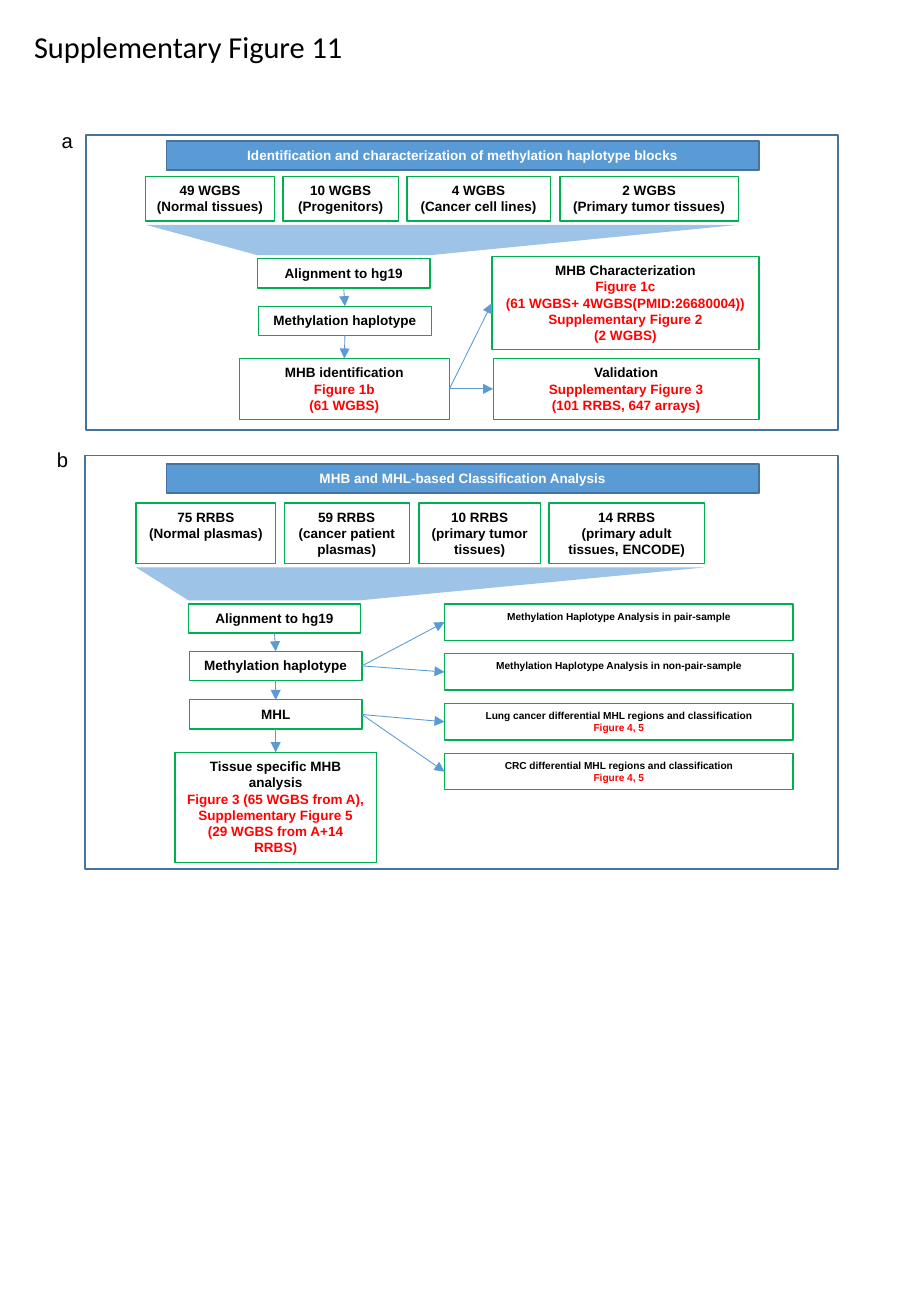
"""Build the methylation haplotype workflow slide with two panels."""
from lxml import etree
from pptx import Presentation
from pptx.dml.color import RGBColor
from pptx.enum.shapes import MSO_CONNECTOR, MSO_SHAPE
from pptx.enum.text import MSO_ANCHOR, MSO_AUTO_SIZE, PP_ALIGN
from pptx.oxml.ns import qn
from pptx.util import Pt

RECTANGLE, STRAIGHT = MSO_SHAPE.RECTANGLE, MSO_CONNECTOR.STRAIGHT
TOP_ANCHOR, NO_AUTOSIZE = MSO_ANCHOR.TOP, MSO_AUTO_SIZE.NONE
LEFT_ALIGNED, CENTERED = PP_ALIGN.LEFT, PP_ALIGN.CENTER
TOP, LEFT, BOTTOM, RIGHT = range(4)
PX = 9144
BLACK, RED, WHITE = "000000", "FF0000", "FFFFFF"
BLUE, NAVY, PALE_BLUE, GREEN = "5B9BD5", "43739E", "9DC3E6", "00B050"
SOURCE_MARGIN, FUNNEL_GAP = 7, 3
TITLE = "Supplementary Figure 11"

PANELS = [
    {
        "letter": ("a", 41, 101),
        "frame": (71, 111, 619, 243),
        "heading": "Identification and characterization of methylation haplotype blocks",
        "heading_top": 116,
        "source_row": (145, 37),
        "sources": [
            (120, 106, ["49 WGBS", "(Normal tissues)"]),
            (233, 95, ["10 WGBS", "(Progenitors)"]),
            (335, 118, ["4 WGBS", "(Cancer cell lines)"]),
            (461, 147, ["2 WGBS", "(Primary tumor tissues)"]),
        ],
        "steps": [
            ((212, 213, 142, 24), "Alignment to hg19", []),
            ((213, 252, 142, 24), "Methylation haplotype", []),
            ((197, 295, 173, 50), "MHB identification", ["Figure 1b", "(61 WGBS)"]),
        ],
        "results": [
            ((405, 211, 220, 77), "MHB Characterization",
             ["Figure 1c", "(61 WGBS+ 4WGBS(PMID:26680004))",
              "Supplementary Figure 2", "(2 WGBS)"]),
            ((406, 295, 219, 50), "Validation",
             ["Supplementary Figure 3", "(101 RRBS, 647 arrays)"]),
        ],
        "result_size": 8,
        "branches": [(2, 0), (2, 1)],
    },
    {
        "letter": ("b", 37, 363),
        "frame": (70, 375, 620, 340),
        "heading": "MHB and MHL-based Classification Analysis",
        "heading_top": 382,
        "source_row": (414, 50),
        "sources": [
            (112, 115, ["75 RRBS", "(Normal plasmas)"]),
            (234, 103, ["59 RRBS", "(cancer patient plasmas)"]),
            (345, 100, ["10 RRBS", "(primary tumor tissues)"]),
            (452, 128, ["14 RRBS", "(primary adult tissues, ENCODE)"]),
        ],
        "steps": [
            ((155, 497, 142, 24), "Alignment to hg19", []),
            ((156, 536, 142, 24), "Methylation haplotype", []),
            ((156, 576, 142, 24), "MHL", []),
            ((144, 619, 166, 91), "Tissue specific MHB analysis",
             ["Figure 3 (65 WGBS from A), Supplementary Figure 5 (29 WGBS from A+14 RRBS)"]),
        ],
        "results": [
            ((366, 497 + 41 * row, 287, 30), analysis, figures)
            for row, (analysis, figures) in enumerate([
                ("Methylation Haplotype Analysis in pair-sample", []),
                ("Methylation Haplotype Analysis in non-pair-sample", []),
                ("Lung cancer differential MHL regions and classification", ["Figure 4, 5"]),
                ("CRC differential MHL regions and classification", ["Figure 4, 5"]),
            ])
        ],
        "result_size": 6,
        "branches": [(1, 0), (1, 1), (2, 2), (2, 3)],
    },
]


def rgb(code):
    return RGBColor.from_string(code)


def emu(lengths):
    return [length * PX for length in lengths]


def write(holder, lines, size=8, font="Arial", bold=True, color=BLACK,
          align=CENTERED, margin=10, wrap=True):
    """Write lines, each a string or a (string, colour) pair, into a shape."""
    frame = holder.text_frame
    frame.word_wrap = wrap
    frame.auto_size = NO_AUTOSIZE
    frame.vertical_anchor = TOP_ANCHOR
    frame.margin_left = frame.margin_right = margin * PX
    frame.margin_top = frame.margin_bottom = 5 * PX
    for index, line in enumerate(lines):
        words, line_color = (line, color) if isinstance(line, str) else line
        paragraph = frame.add_paragraph() if index else frame.paragraphs[0]
        paragraph.alignment = align
        run = paragraph.add_run()
        run.text = words
        run.font.size = Pt(size)
        run.font.name = font
        run.font.bold = bold
        run.font.color.rgb = rgb(line_color)


def add_box(shapes, place, fill=None, line=GREEN, width=0.75):
    """Add a rectangle with an outline and an optional fill."""
    box = shapes.add_shape(RECTANGLE, *emu(place))
    box.shadow.inherit = False
    if fill:
        box.fill.solid()
        box.fill.fore_color.rgb = rgb(fill)
    else:
        box.fill.background()
    box.line.color.rgb = rgb(line)
    box.line.width = Pt(width)
    return box


def add_arrow(shapes, start, start_side, end, end_side):
    """Join two boxes with an arrow."""
    arrow = shapes.add_connector(STRAIGHT, 0, 0, 0, 0)
    arrow.begin_connect(start, start_side)
    arrow.end_connect(end, end_side)
    arrow.line.color.rgb = rgb(BLUE)
    arrow.line.width = Pt(0.5)
    properties = arrow._element.spPr
    etree.SubElement(properties.find(qn("a:ln")), qn("a:tailEnd"), type="triangle")
    etree.SubElement(properties, qn("a:effectLst"))


def add_funnel(shapes, sources, first_step):
    """Narrow the row of sources down to the first step."""
    gap = FUNNEL_GAP * PX
    top = sources[0].top + sources[0].height + gap
    bottom = first_step.top - gap
    outline = shapes.build_freeform(sources[0].left, top)
    outline.add_line_segments([
        (sources[-1].left + sources[-1].width, top),
        (first_step.left + first_step.width, bottom),
        (first_step.left, bottom),
    ], close=True)
    funnel = outline.convert_to_shape()
    funnel.shadow.inherit = False
    funnel.fill.solid()
    funnel.fill.fore_color.rgb = rgb(PALE_BLUE)
    funnel.line.fill.background()


def add_stage(shapes, place, name, references, size=8):
    """Add a box with a black name and red references."""
    stage = add_box(shapes, place)
    write(stage, [name] + [(reference, RED) for reference in references], size=size)
    return stage


def add_panel(shapes, panel):
    """Add one lettered workflow panel."""
    add_box(shapes, panel["frame"], line=NAVY, width=1)
    letter, left, top = panel["letter"]
    label = shapes.add_textbox(*emu((left, top, 29, 30)))
    write(label, [letter], size=12, bold=False, align=LEFT_ALIGNED, wrap=False)
    heading = add_box(shapes, (137, panel["heading_top"], 488, 24), BLUE, NAVY, 1)
    write(heading, [panel["heading"]], color=WHITE)

    row_top, row_height = panel["source_row"]
    sources = []
    for left, width, lines in panel["sources"]:
        source = add_box(shapes, (left, row_top, width, row_height))
        write(source, lines, margin=SOURCE_MARGIN)
        sources.append(source)

    steps = [add_stage(shapes, *step) for step in panel["steps"]]
    results = [add_stage(shapes, *result, size=panel["result_size"])
               for result in panel["results"]]
    add_funnel(shapes, sources, steps[0])
    for step, following in zip(steps, steps[1:]):
        add_arrow(shapes, step, BOTTOM, following, TOP)
    for step, result in panel["branches"]:
        add_arrow(shapes, steps[step], RIGHT, results[result], LEFT)


def main():
    deck = Presentation()
    deck.slide_width, deck.slide_height = emu((750, 1083))
    slide = deck.slides.add_slide(deck.slide_layouts[5])
    title = slide.shapes.title
    title.left, title.top, title.width, title.height = emu((18, 18, 283, 40))
    write(title, [TITLE], size=18, font="Calibri", bold=False,
          align=LEFT_ALIGNED, wrap=False)
    for panel in PANELS:
        add_panel(slide.shapes, panel)
    deck.save("out.pptx")


if __name__ == "__main__":
    main()
